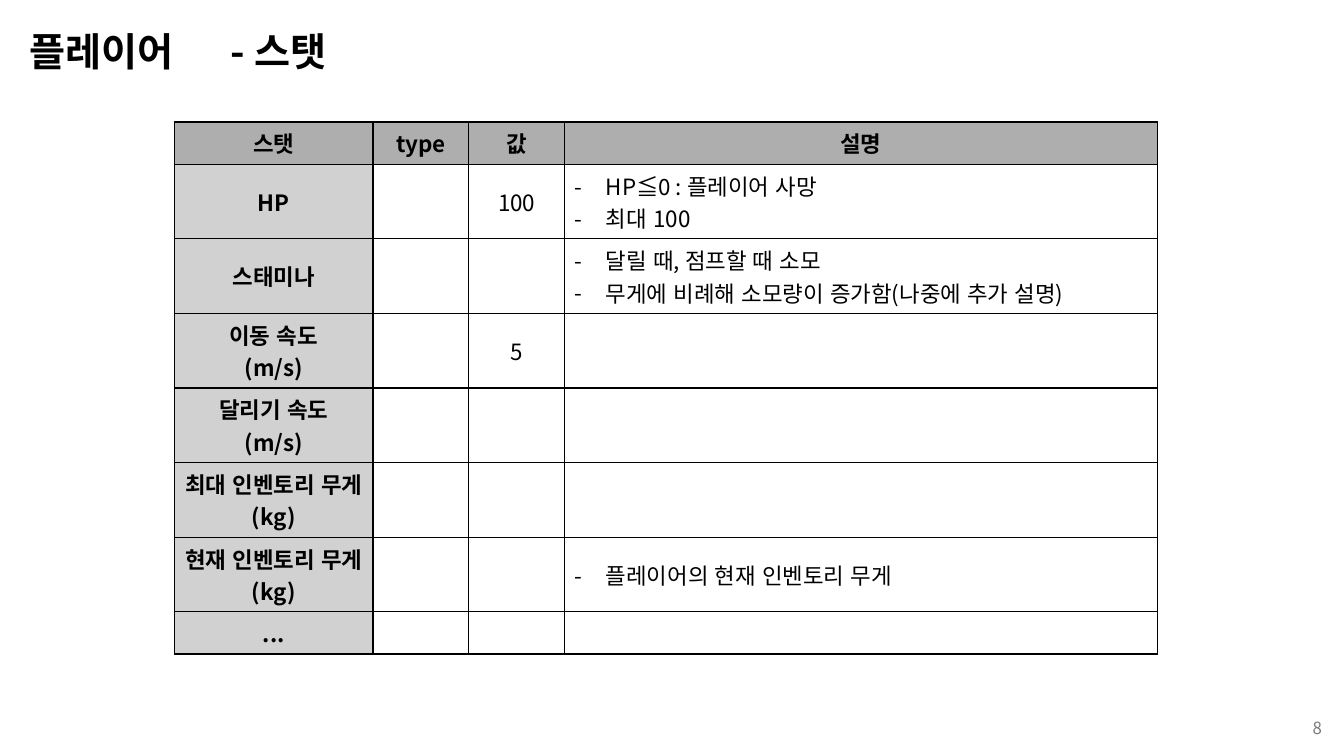
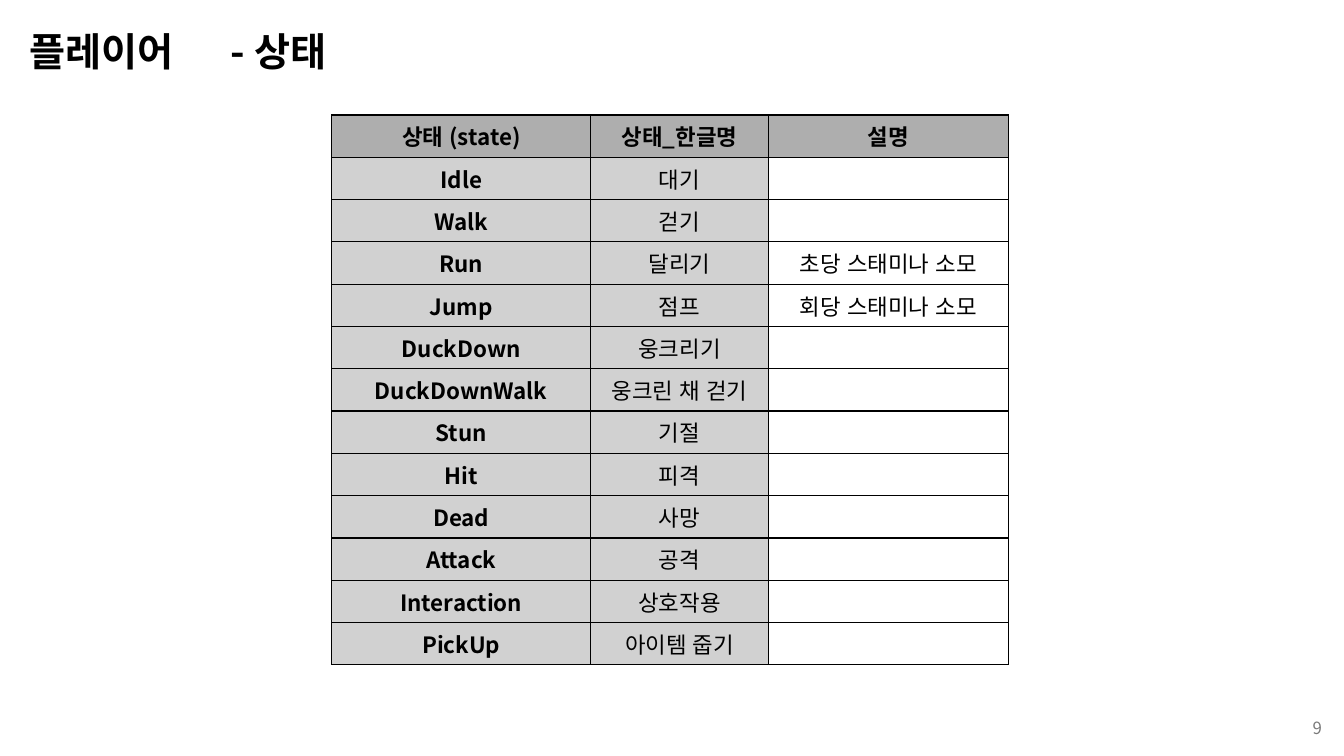
from lxml.etree import SubElement
from pptx import Presentation
from pptx.dml.color import RGBColor
from pptx.enum.lang import MSO_LANGUAGE_ID as Lang
from pptx.enum.text import MSO_ANCHOR as Anchor, PP_ALIGN as Align
from pptx.oxml.ns import qn
from pptx.util import Inches, Pt

FONT = "Noto Sans CJK KR"
COLORS = {"text": "000000", "number": "797979", "header": "AEAEAE",
          "key": "D1D1D1", "body": "FFFFFF", "border": "000000"}
ROW_HEIGHTS = {1: 0.42, 2: 0.74}  # by lines of text
TAB_STOP = Inches(2)
BULLET_INDENT = Inches(0.31)

# key_cols: shaded columns on the left; bullet_col: column whose lines are bulleted
SLIDES = [
    {
        "title": "플레이어\t- 스탯", "number": 8,
        "at": (1.73, 1.21), "cols": (1.97, 0.95, 0.95, 5.88),
        "key_cols": 1, "bullet_col": 3,
        "rows": [
            ("스탯", "type", "값", "설명"),
            ("HP", "", "100", "HP≦0 : 플레이어 사망\n최대 100"),
            ("스태미나", "", "",
             "달릴 때, 점프할 때 소모\n무게에 비례해 소모량이 증가함(나중에 추가 설명)"),
            ("이동 속도\n(m/s)", "", "5", ""),
            ("달리기 속도\n(m/s)", "", "", ""),
            ("최대 인벤토리 무게\n(kg)", "", "", ""),
            ("현재 인벤토리 무게\n(kg)", "", "", "플레이어의 현재 인벤토리 무게"),
            ("...", "", "", ""),
        ],
    },
    {
        "title": "플레이어\t- 상태", "number": 9,
        "at": (3.29, 1.14), "cols": (2.57, 1.76, 2.38),
        "key_cols": 2, "bullet_col": None,
        "rows": [
            ("상태 (state)", "상태_한글명", "설명"),
            ("Idle", "대기", ""),
            ("Walk", "걷기", ""),
            ("Run", "달리기", "초당 스태미나 소모"),
            ("Jump", "점프", "회당 스태미나 소모"),
            ("DuckDown", "웅크리기", ""),
            ("DuckDownWalk", "웅크린 채 걷기", ""),
            ("Stun", "기절", ""),
            ("Hit", "피격", ""),
            ("Dead", "사망", ""),
            ("Attack", "공격", ""),
            ("Interaction", "상호작용", ""),
            ("PickUp", "아이템 줍기", ""),
        ],
    },
]


def rgb(name):
    return RGBColor.from_string(COLORS[name])


def style_runs(p, size, color="text", bold=False):
    for r in p.runs:
        r.font.size, r.font.bold, r.font.name = Pt(size), bold, FONT
        r.font.language_id = Lang.KOREAN
        r.font.color.rgb = rgb(color)
        SubElement(r.font._element, qn("a:ea"), typeface=FONT)
    if not p.runs:  # an empty line still sets the row height
        end = SubElement(p._p, qn("a:endParaRPr"), sz=str(size * 100))
        for tag in ("a:latin", "a:ea"):
            SubElement(end, qn(tag), typeface=FONT)


def add_line(slide, text, at, size, color="text", bold=False, align=Align.LEFT):
    """Add a one-paragraph, vertically centred text box."""
    tf = slide.shapes.add_textbox(*map(Inches, at)).text_frame
    tf.word_wrap = True
    tf.vertical_anchor = Anchor.MIDDLE
    tf.text = text
    p = tf.paragraphs[0]
    p.alignment = align
    style_runs(p, size, color, bold)
    return p


def add_frame(slide, title, number):
    """Add the title and the page number."""
    p = add_line(slide, title, (0.19, 0.09, 12.91, 0.89), 28, bold=True)
    p.line_spacing = 0.9
    tabs = SubElement(p._p.get_or_add_pPr(), qn("a:tabLst"))
    SubElement(tabs, qn("a:tab"), pos=str(TAB_STOP), algn="l")
    add_line(slide, str(number), (10.21, 7.02, 3, 0.4), 12, "number",
             align=Align.RIGHT)


def add_borders(cell):
    tc_pr = cell._tc.get_or_add_tcPr()
    for side in ("lnL", "lnR", "lnT", "lnB"):
        ln = SubElement(tc_pr, qn(f"a:{side}"), w=str(Pt(1)))
        fill = SubElement(ln, qn("a:solidFill"))
        SubElement(fill, qn("a:srgbClr"), val=COLORS["border"])


def add_bullet(p):
    p_pr = p._p.get_or_add_pPr()
    p_pr.set("marL", str(BULLET_INDENT))
    p_pr.set("indent", str(-BULLET_INDENT))
    SubElement(p_pr, qn("a:buFont"), typeface=FONT)
    SubElement(p_pr, qn("a:buChar"), char="-")


def fill_cell(cell, text, fill, bold, bulleted):
    add_borders(cell)
    cell.fill.solid()
    cell.fill.fore_color.rgb = rgb(fill)
    cell.vertical_anchor = Anchor.MIDDLE
    cell.text = text
    for p in cell.text_frame.paragraphs:
        if bulleted and text:
            add_bullet(p)
        else:
            p.alignment = Align.CENTER
        style_runs(p, 16, bold=bold)


def add_grid(slide, at, cols, rows, key_cols, bullet_col):
    heights = [ROW_HEIGHTS[max(text.count("\n") + 1 for text in row)]
               for row in rows]
    size = (sum(cols), sum(heights))
    table = slide.shapes.add_table(len(rows), len(cols),
                                   *map(Inches, at + size)).table
    table.first_row = table.horz_banding = False
    for column, width in zip(table.columns, cols):
        column.width = Inches(width)
    for i, row in enumerate(rows):
        table.rows[i].height = Inches(heights[i])
        for j, text in enumerate(row):
            fill = "header" if i == 0 else "key" if j < key_cols else "body"
            fill_cell(table.cell(i, j), text, fill, bold=i == 0 or j == 0,
                      bulleted=i > 0 and j == bullet_col)


def main():
    prs = Presentation()
    prs.slide_width, prs.slide_height = Inches(13.33), Inches(7.5)
    for page in SLIDES:
        slide = prs.slides.add_slide(prs.slide_layouts[6])
        add_frame(slide, page["title"], page["number"])
        add_grid(slide, page["at"], page["cols"], page["rows"],
                 page["key_cols"], page["bullet_col"])
    prs.save("out.pptx")


if __name__ == "__main__":
    main()
